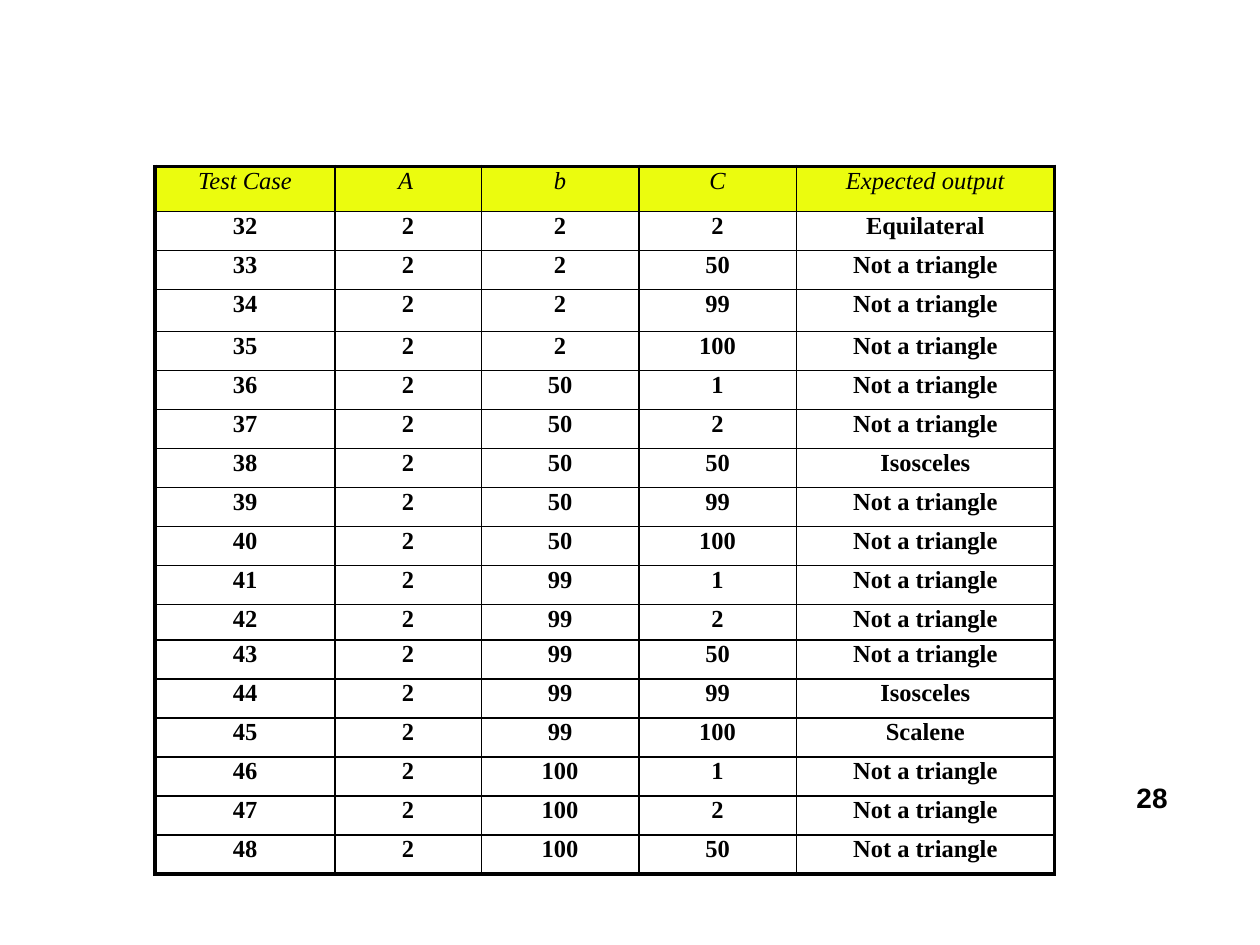
from lxml.etree import SubElement
from pptx import Presentation
from pptx.dml.color import RGBColor
from pptx.enum.text import MSO_AUTO_SIZE, PP_ALIGN
from pptx.oxml.ns import qn
from pptx.util import Inches, Pt

HEADINGS = ("Test Case", "A", "b", "C", "Expected output")
FIRST_CASE = 32
SIDE_A = 2
NOT_TRIANGLE = "Not a triangle"
CASES = [  # b, c, expected output
    (2, 2, "Equilateral"),
    (2, 50, NOT_TRIANGLE),
    (2, 99, NOT_TRIANGLE),
    (2, 100, NOT_TRIANGLE),
    (50, 1, NOT_TRIANGLE),
    (50, 2, NOT_TRIANGLE),
    (50, 50, "Isosceles"),
    (50, 99, NOT_TRIANGLE),
    (50, 100, NOT_TRIANGLE),
    (99, 1, NOT_TRIANGLE),
    (99, 2, NOT_TRIANGLE),
    (99, 50, NOT_TRIANGLE),
    (99, 99, "Isosceles"),
    (99, 100, "Scalene"),
    (100, 1, NOT_TRIANGLE),
    (100, 2, NOT_TRIANGLE),
    (100, 50, NOT_TRIANGLE),
]
PAGE_NUMBER = "28"

COLUMN_WIDTHS = (1.43, 1.16, 1.25, 1.25, 2.05)
ROW_HEIGHT = 0.31
SPECIAL_HEIGHTS = {0: 0.36, 3: 0.33, 11: 0.28}
TABLE_LEFT, TABLE_TOP = 1.23, 1.32
BLACK, YELLOW = "000000", "EBFC0E"
OUTER, INNER = 2.25, 1


def color(value):
    return RGBColor.from_string(value)


def clear_margins(frame):
    frame.margin_left = frame.margin_right = frame.margin_top = frame.margin_bottom = 0


def write(paragraph, text, font_name, size, spacing, bold=False, italic=False, indent=None):
    """Add one run; an indent in inches makes the paragraph left aligned, else it is centred."""
    paragraph.line_spacing = spacing
    if indent is None:
        paragraph.alignment = PP_ALIGN.CENTER
    else:
        properties = paragraph._p.get_or_add_pPr()
        properties.set("marL", str(Inches(indent)))
        properties.set("indent", "0")
        paragraph.alignment = PP_ALIGN.LEFT
    run = paragraph.add_run()
    run.text = text
    font = run.font
    font.name, font.size, font.bold, font.italic = font_name, Pt(size), bold, italic
    font.color.rgb = color(BLACK)


def add_borders(cell, at_left, at_top, at_right, at_bottom):
    """Draw the four cell borders, heavier on the edges of the table."""
    properties = cell._tc.get_or_add_tcPr()
    edges = {"L": at_left, "R": at_right, "T": at_top, "B": at_bottom}
    for side, on_edge in edges.items():
        line = SubElement(properties, qn(f"a:ln{side}"), w=str(Pt(OUTER if on_edge else INNER)))
        fill = SubElement(line, qn("a:solidFill"))
        SubElement(fill, qn("a:srgbClr"), val=BLACK)


def add_case_table(slide):
    rows = [HEADINGS] + [(FIRST_CASE + i, SIDE_A, *case) for i, case in enumerate(CASES)]
    heights = [SPECIAL_HEIGHTS.get(r, ROW_HEIGHT) for r in range(len(rows))]
    table = slide.shapes.add_table(
        len(rows), len(HEADINGS), Inches(TABLE_LEFT), Inches(TABLE_TOP),
        Inches(sum(COLUMN_WIDTHS)), Inches(sum(heights))).table
    table.first_row = table.horz_banding = False
    for column, width in zip(table.columns, COLUMN_WIDTHS):
        column.width = Inches(width)
    last_row, last_column = len(rows) - 1, len(HEADINGS) - 1
    for r, (values, height) in enumerate(zip(rows, heights)):
        table.rows[r].height = Inches(height)
        heading = r == 0
        for c, value in enumerate(values):
            cell = table.cell(r, c)
            clear_margins(cell)
            add_borders(cell, c == 0, heading, c == last_column, r == last_row)
            if heading:
                cell.fill.solid()
                cell.fill.fore_color.rgb = color(YELLOW)
            else:
                cell.fill.background()
            indent = (0.5 if heading else 0.53) if c == 1 else None
            write(cell.text_frame.paragraphs[0], str(value), "Times New Roman", 14, 1.04,
                  bold=not heading, italic=heading, indent=indent)


def add_page_number(slide):
    frame = slide.shapes.add_textbox(
        Inches(8.98), Inches(6.15), Inches(0.33), Inches(0.28)).text_frame
    clear_margins(frame)
    frame.word_wrap = True
    frame.auto_size = MSO_AUTO_SIZE.SHAPE_TO_FIT_TEXT
    write(frame.paragraphs[0], PAGE_NUMBER, "Arial", 16, 1.17, bold=True, indent=0.04)


def main():
    deck = Presentation()
    deck.slide_width, deck.slide_height = Inches(10), Inches(7.5)
    slide = deck.slides.add_slide(deck.slide_layouts[6])
    add_case_table(slide)
    add_page_number(slide)
    deck.save("out.pptx")


if __name__ == "__main__":
    main()
